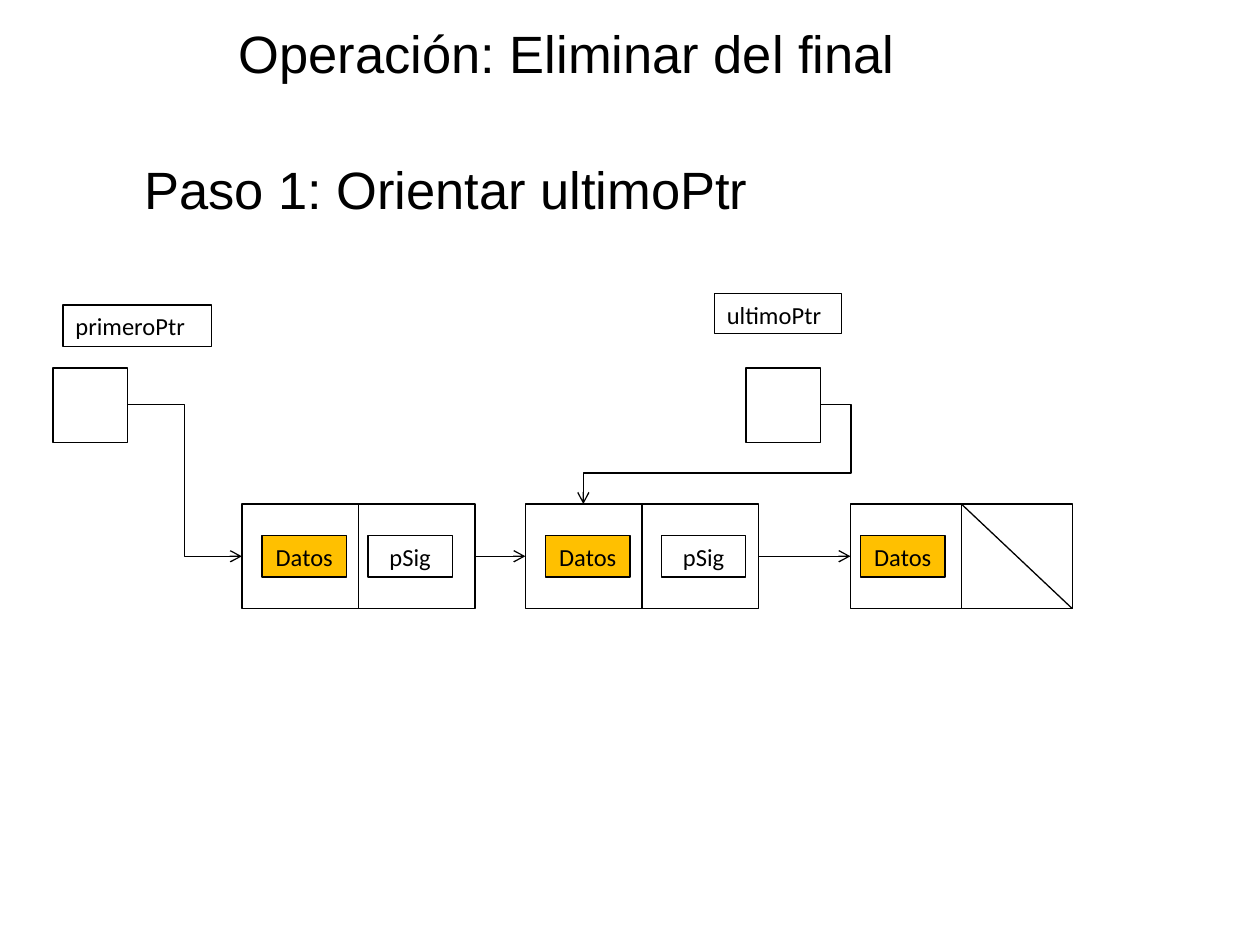
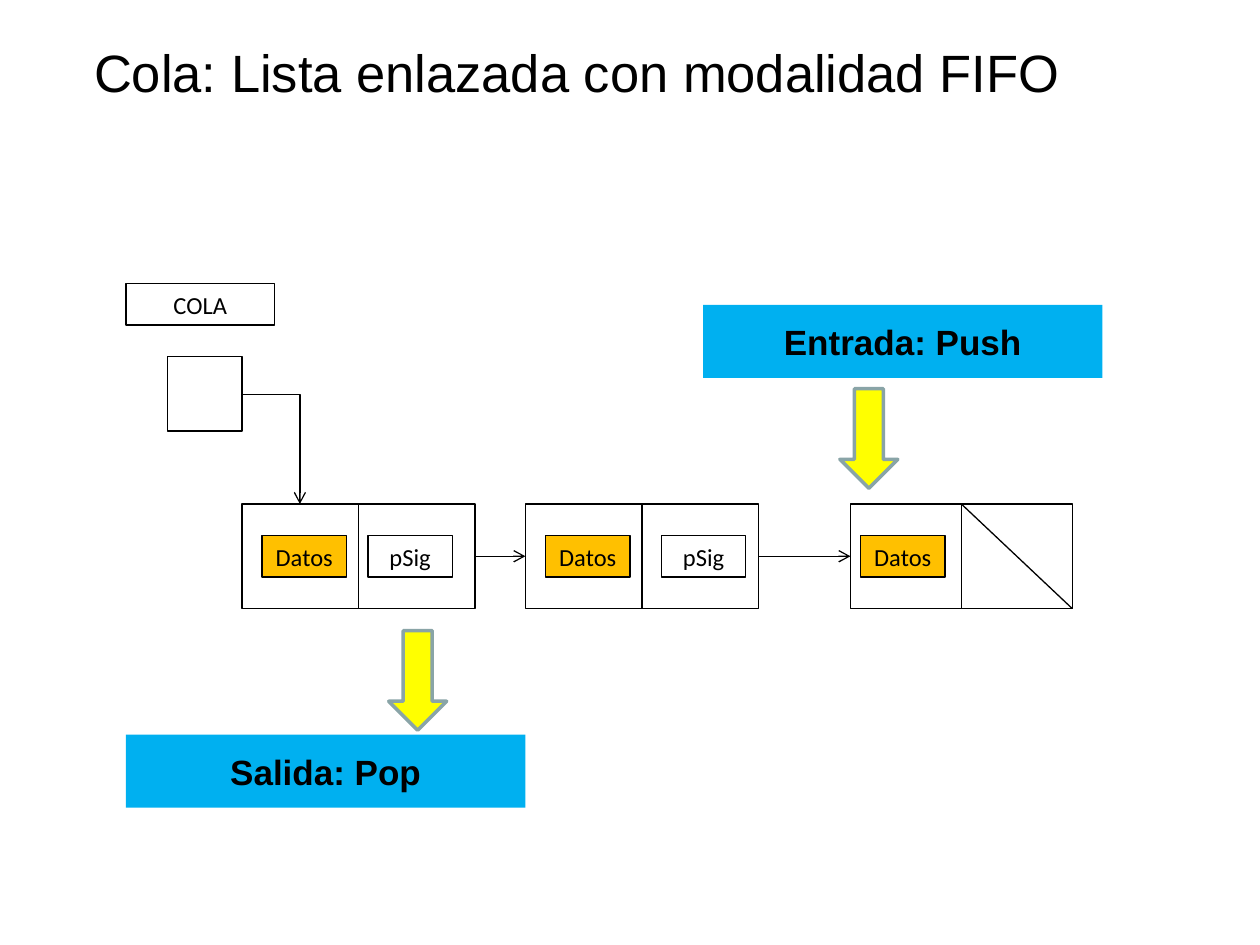
"""Build two slides on linked lists: removing the last node, and the FIFO queue."""
from dataclasses import dataclass
from typing import NamedTuple, Optional

from lxml.etree import SubElement
from pptx import Presentation
from pptx.dml.color import RGBColor
from pptx.enum.shapes import MSO_CONNECTOR as Link, MSO_SHAPE as Shape
from pptx.enum.text import MSO_ANCHOR as Anchor, PP_ALIGN as Align
from pptx.oxml.ns import qn
from pptx.util import Inches, Pt


@dataclass(frozen=True)
class Theme:
    ink: str = "000000"
    paper: str = "FFFFFF"
    data: str = "FFC000"
    banner: str = "00B0F0"
    arrow: str = "FFFF00"
    arrow_edge: str = "89A4A7"
    title_size: int = 30
    banner_size: int = 20
    label_size: int = 14
    line: float = 0.75
    arrow_line: float = 2


class Box(NamedTuple):
    left: float
    top: float
    width: float
    height: float

    def lengths(self) -> list:
        return [Inches(side) for side in self]


@dataclass(frozen=True)
class TextStyle:
    font: dict
    paragraph: dict
    anchor: Anchor


@dataclass(frozen=True)
class Node:
    left: float
    width: float
    data_left: float
    next_left: Optional[float] = None

    @property
    def right(self) -> float:
        return self.left + self.width


class Route(NamedTuple):
    start: tuple
    end: tuple
    preset: str = "bentConnector3"
    bends: tuple = ()


THEME = Theme()
CENTER = {"alignment": Align.CENTER}
HEADING = TextStyle({"name": "Arial", "size": Pt(THEME.title_size)}, CENTER, Anchor.MIDDLE)
BANNER = TextStyle({"name": "Arial", "size": Pt(THEME.banner_size), "bold": True},
                   CENTER, Anchor.MIDDLE)
LABEL_FONT = {"name": "Calibri", "size": Pt(THEME.label_size)}
LABEL = TextStyle(LABEL_FONT, CENTER | {"space_after": Pt(10)}, Anchor.TOP)
POINTER_LABEL = TextStyle(LABEL_FONT, {"alignment": Align.LEFT, "space_after": Pt(10)}, Anchor.TOP)

NODE_TOP, NODE_HEIGHT = 4.0, 0.83
NODE_MIDDLE = NODE_TOP + NODE_HEIGHT / 2
FIELD_TOP, FIELD_WIDTH, FIELD_HEIGHT = 4.25, 0.67, 0.33
POINTER_SIDE = 0.59
NODES = (Node(1.92, 1.85, 2.08, 2.92), Node(4.17, 1.85, 4.33, 5.25), Node(6.75, 1.76, 6.83))


def apply(target, values: dict) -> None:
    """Set every named attribute on the target."""
    for name, value in values.items():
        setattr(target, name, value)


def write(shape, text: str, style: TextStyle) -> None:
    """Put one styled paragraph into the shape."""
    frame = shape.text_frame
    apply(frame, {"word_wrap": True, "vertical_anchor": style.anchor})
    paragraph = frame.paragraphs[0]
    apply(paragraph, style.paragraph)
    run = paragraph.add_run()
    run.text = text
    apply(run.font, style.font)
    run.font.color.rgb = RGBColor.from_string(THEME.ink)


def add_heading(shapes, box: Box, text: str) -> None:
    """Add a large centred line of text."""
    write(shapes.add_textbox(*box.lengths()), text, HEADING)


def add_block(shapes, box: Box, fill: str = THEME.paper, edge: Optional[str] = THEME.ink,
              weight: float = THEME.line, preset: Shape = Shape.RECTANGLE):
    """Add a flat filled shape, outlined when an edge colour is given."""
    block = shapes.add_shape(preset, *box.lengths())
    block.shadow.inherit = False
    block.fill.solid()
    block.fill.fore_color.rgb = RGBColor.from_string(fill)
    if edge is None:
        block.line.fill.background()
    else:
        block.line.color.rgb = RGBColor.from_string(edge)
        block.line.width = Pt(weight)
    return block


def add_label(shapes, box: Box, text: str, fill: str = THEME.paper,
              style: TextStyle = LABEL) -> None:
    """Add an outlined box with a short label."""
    write(add_block(shapes, box, fill), text, style)


def add_line(shapes, kind: Link, start: tuple, end: tuple):
    """Add a thin connector without a shadow."""
    line = shapes.add_connector(kind, *(Inches(value) for value in (*start, *end)))
    line.line.color.rgb = RGBColor.from_string(THEME.ink)
    line.line.width = Pt(THEME.line)
    SubElement(line._element.spPr, qn("a:effectLst"))
    return line


def add_route(shapes, route: Route) -> None:
    """Add an elbow connector ending in an open arrowhead."""
    properties = add_line(shapes, Link.ELBOW, route.start, route.end)._element.spPr
    SubElement(properties.find(qn("a:ln")), qn("a:tailEnd"), type="arrow")
    geometry = properties.find(qn("a:prstGeom"))
    geometry.set("prst", route.preset)
    for number, bend in enumerate(route.bends, 1):
        SubElement(geometry.find(qn("a:avLst")), qn("a:gd"),
                   name=f"adj{number}", fmla=f"val {round(bend * 100000)}")


def add_pointer(shapes, left: float, top: float, route: Route) -> None:
    """Add a pointer cell and the route to the node it refers to."""
    add_block(shapes, Box(left, top, POINTER_SIDE, POINTER_SIDE))
    add_route(shapes, route)


def add_node(shapes, node: Node) -> None:
    """Add a grouped node; one without a successor gets a diagonal."""
    parts = shapes.add_group_shape().shapes
    half = node.width / 2
    middle = node.left + half
    for left in (node.left, middle):
        add_block(parts, Box(left, NODE_TOP, half, NODE_HEIGHT))
    add_label(parts, Box(node.data_left, FIELD_TOP, FIELD_WIDTH, FIELD_HEIGHT),
              "Datos", THEME.data)
    if node.next_left is None:
        add_line(parts, Link.STRAIGHT, (middle, NODE_TOP), (node.right, NODE_TOP + NODE_HEIGHT))
    else:
        add_label(parts, Box(node.next_left, FIELD_TOP, FIELD_WIDTH, FIELD_HEIGHT), "pSig")


def add_list(shapes) -> None:
    """Add the three linked nodes."""
    for node, successor in zip(NODES, NODES[1:]):
        add_route(shapes, Route((node.right, NODE_MIDDLE), (successor.left, NODE_MIDDLE)))
    for node in NODES:
        add_node(shapes, node)


def add_banner(shapes, left: float, top: float, text: str) -> None:
    """Add a coloured banner for one end of the queue."""
    write(add_block(shapes, Box(left, top, 3.17, 0.58), THEME.banner, None), text, BANNER)


def add_down_arrow(shapes, left: float, top: float) -> None:
    """Add a block arrow turned to point down."""
    arrow = add_block(shapes, Box(left, top, 0.79, 0.46), THEME.arrow, THEME.arrow_edge,
                      THEME.arrow_line, Shape.RIGHT_ARROW)
    arrow.rotation = 90


def build_removal(shapes) -> None:
    """Draw the first step of removing the last node."""
    add_heading(shapes, Box(0, 0, 9, 0.83), "Operación: Eliminar del final")
    add_heading(shapes, Box(0, 1.08, 7.08, 0.83), "Paso 1: Orientar ultimoPtr")
    add_label(shapes, Box(0.5, 2.42, 1.18, 0.33), "primeroPtr", style=POINTER_LABEL)
    add_label(shapes, Box(5.67, 2.33, 1.01, 0.32), "ultimoPtr", style=POINTER_LABEL)
    add_pointer(shapes, 0.42, 2.92, Route((1.01, 3.21), (NODES[0].left, NODE_MIDDLE)))
    add_pointer(shapes, 5.92, 2.92, Route((6.51, 3.21), (4.63, NODE_TOP),
                                          "bentConnector4", (-0.13, 0.69)))
    add_list(shapes)


def build_queue(shapes) -> None:
    """Draw the queue with its entry and exit."""
    add_heading(shapes, Box(0.08, 0.13, 9, 0.87), "Cola: Lista enlazada con modalidad FIFO")
    add_label(shapes, Box(1, 2.25, 1.18, 0.33), "COLA")
    add_pointer(shapes, 1.33, 2.83, Route((1.93, 3.13), (2.38, NODE_TOP), "bentConnector2"))
    add_list(shapes)
    add_banner(shapes, 5.58, 2.42, "Entrada: Push")
    add_banner(shapes, 1, 5.83, "Salida: Pop")
    add_down_arrow(shapes, 6.5, 3.25)
    add_down_arrow(shapes, 2.92, 5.17)


def main() -> None:
    """Build both slides and save the presentation."""
    deck = Presentation()
    apply(deck, {"slide_width": Inches(10), "slide_height": Inches(7.5)})
    for build in (build_removal, build_queue):
        build(deck.slides.add_slide(deck.slide_layouts[6]).shapes)
    deck.save("out.pptx")


if __name__ == "__main__":
    main()
